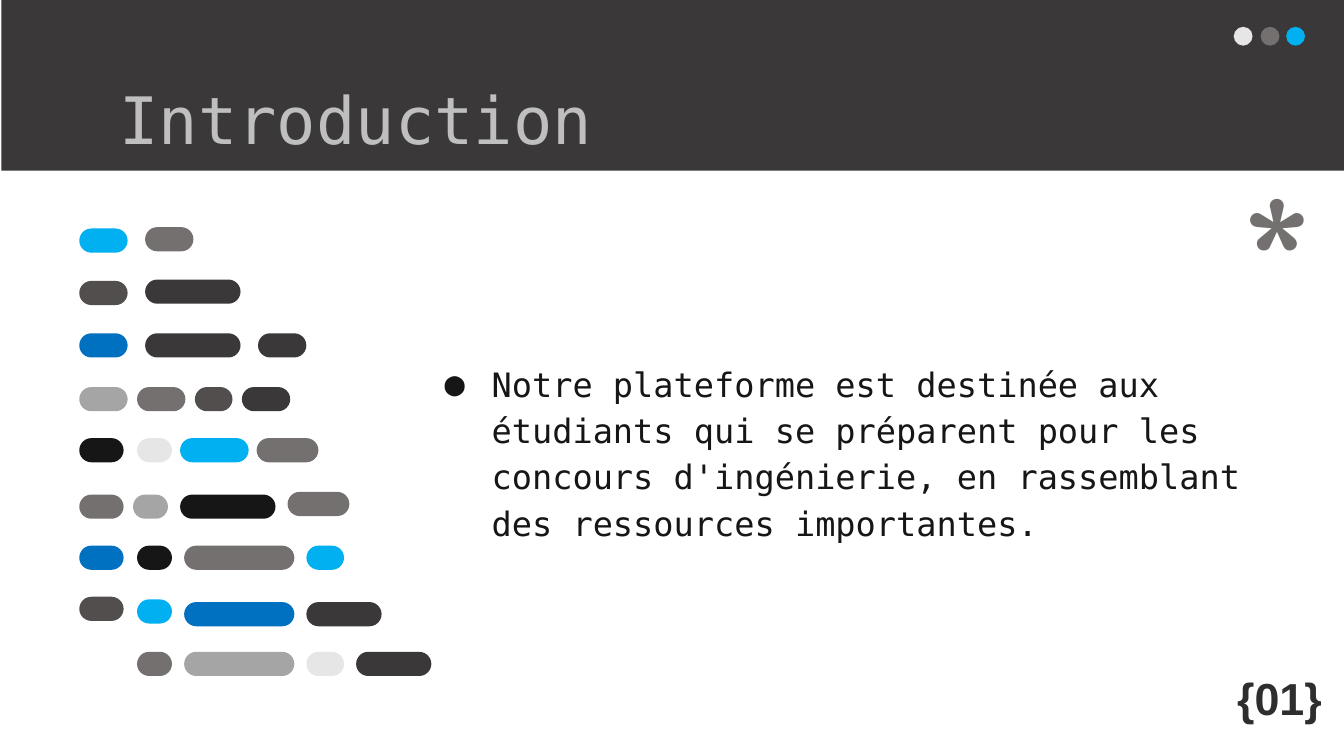
from lxml import etree
from pptx import Presentation
from pptx.dml.color import RGBColor
from pptx.enum import shapes, text
from pptx.oxml.ns import qn
from pptx.util import Inches, Pt

MONO = "DejaVu Sans Mono"
INK, DARK, BROWN, GREY = "171616", "3A3838", "524E4E", "757070"
SILVER, PALE, SKY, BLUE = "A5A5A5", "E7E6E6", "00B0F0", "0070C0"
KIND = shapes.MSO_SHAPE

# Each line of mock code: (left, top, width, colour) per pill
LINES = [
    [(0.59, 1.7, 0.36, SKY), (1.08, 1.69, 0.36, GREY)],
    [(0.59, 2.09, 0.36, BROWN), (1.08, 2.08, 0.71, DARK)],
    [(0.59, 2.48, 0.36, BLUE), (1.08, 2.48, 0.71, DARK),
     (1.92, 2.48, 0.36, DARK)],
    [(0.59, 2.88, 0.36, SILVER), (1.02, 2.88, 0.36, GREY),
     (1.45, 2.88, 0.28, BROWN), (1.8, 2.88, 0.36, DARK)],
    [(0.59, 3.26, 0.33, INK), (1.02, 3.26, 0.26, PALE),
     (1.34, 3.26, 0.51, SKY), (1.91, 3.26, 0.46, GREY)],
    [(0.59, 3.68, 0.33, GREY), (0.99, 3.68, 0.26, SILVER),
     (1.34, 3.68, 0.71, INK), (2.14, 3.66, 0.46, GREY)],
    [(0.59, 4.06, 0.33, BLUE), (1.02, 4.06, 0.26, INK),
     (1.37, 4.06, 0.82, GREY), (2.28, 4.06, 0.28, SKY)],
    [(0.59, 4.44, 0.33, BROWN), (1.02, 4.46, 0.26, SKY),
     (1.37, 4.48, 0.82, BLUE), (2.28, 4.48, 0.56, DARK)],
    [(1.02, 4.85, 0.26, GREY), (1.37, 4.85, 0.82, SILVER),
     (2.28, 4.85, 0.28, PALE), (2.65, 4.85, 0.56, DARK)],
]


def rgb(code):
    return RGBColor.from_string(code)


def add_block(parent, kind, box, color):
    block = parent.add_shape(kind, *map(Inches, box))
    block.shadow.inherit = False
    block.fill.solid()
    block.fill.fore_color.rgb = rgb(color)
    block.line.fill.background()
    return block


def set_text(shape, words, size, font, color, bold=False, inset=0.1):
    """Fill a shape with one styled paragraph and return it."""
    frame = shape.text_frame
    frame.text = words
    frame.word_wrap = True
    frame.auto_size = text.MSO_AUTO_SIZE.NONE
    frame.vertical_anchor = text.MSO_ANCHOR.TOP
    frame.margin_left = frame.margin_right = Inches(0.1)
    frame.margin_top = frame.margin_bottom = Inches(inset)
    para = frame.paragraphs[0]
    para.alignment = text.PP_ALIGN.LEFT
    style = para.runs[0].font
    style.size, style.name, style.bold = Pt(size), font, bold
    style.color.rgb = rgb(color)
    return para


def add_label(slide, box, *args, **kwargs):
    label = slide.shapes.add_textbox(*map(Inches, box))
    return label, set_text(label, *args, **kwargs)


def add_bullet(para, font, color):
    props = para._p.get_or_add_pPr()
    props.set("marL", str(Inches(0.5)))
    props.set("indent", str(Inches(-0.35)))
    tint = etree.SubElement(props, qn("a:buClr"))
    etree.SubElement(tint, qn("a:srgbClr"), val=color)
    etree.SubElement(props, qn("a:buFont"), typeface=font)
    etree.SubElement(props, qn("a:buChar"), char="●")


def add_header(slide):
    title = slide.shapes.title
    band = add_block(slide.shapes, KIND.RECTANGLE, (0.01, 0, 10, 1.27), DARK)
    title.element.addprevious(band.element)
    title.left, title.top = Inches(0.79), Inches(0.49)
    title.width, title.height = Inches(8.43), Inches(0.63)
    set_text(title, "Introduction", 35, MONO, "BFBFBF")
    dots = slide.shapes.add_group_shape().shapes
    for left, color in zip((9.18, 9.38, 9.57), (PALE, GREY, SKY)):
        add_block(dots, KIND.OVAL, (left, 0.2, 0.14, 0.14), color)


def add_code(slide):
    group = slide.shapes.add_group_shape().shapes
    for line in LINES:
        for left, top, width, color in line:
            pill = add_block(group, KIND.ROUNDED_RECTANGLE,
                             (left, top, width, 0.18), color)
            pill.adjustments[0] = 0.5


def add_body(slide):
    body, para = add_label(
        slide, (3.06, 1.67, 6.76, 3.36),
        "Notre plateforme est destinée aux étudiants qui se préparent pour "
        "les concours d'ingénierie, en rassemblant des ressources "
        "importantes.", 18, MONO, INK)
    body.text_frame.vertical_anchor = text.MSO_ANCHOR.MIDDLE
    para.line_spacing = 1.15
    add_bullet(para, MONO, INK)


def main():
    deck = Presentation()
    deck.slide_width = Inches(10)
    deck.slide_height = deck.slide_width * 9 // 16
    slide = deck.slides.add_slide(deck.slide_layouts.get_by_name("Title Only"))
    add_header(slide)
    add_code(slide)
    add_body(slide)
    add_label(slide, (9.15, 1.09, 0.57, 0.87), "*", 96, "Comfortaa", GREY)
    page, para = add_label(slide, (9.1, 4.94, 0.84, 0.5), "{01}", 24, "Arial",
                           "2F2D2D", bold=True, inset=0.05)
    page.text_frame.auto_size = text.MSO_AUTO_SIZE.SHAPE_TO_FIT_TEXT
    para.alignment = text.PP_ALIGN.CENTER
    deck.save("out.pptx")


if __name__ == "__main__":
    main()
